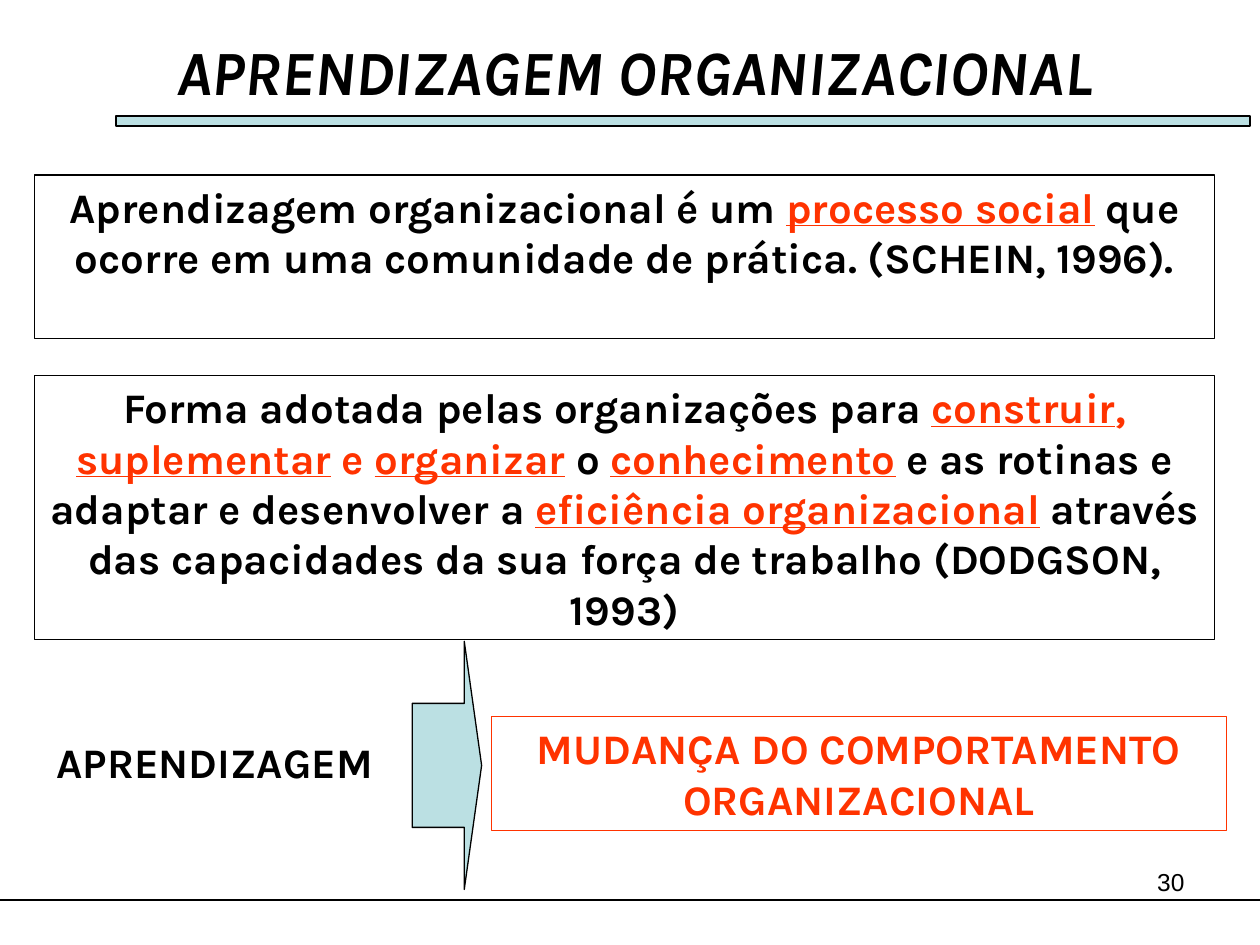
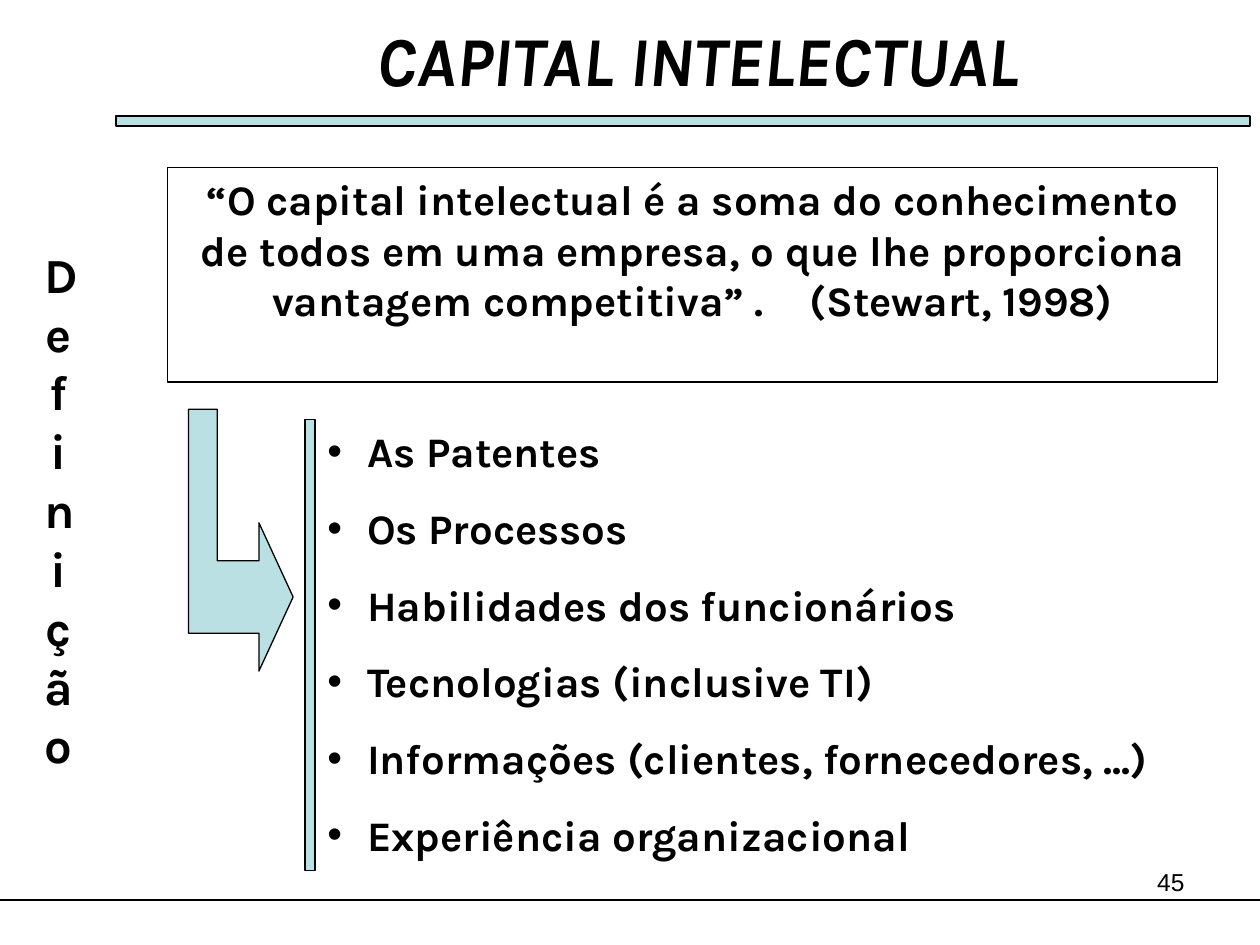
import pptx
import pptx.dml.color
import pptx.enum.shapes
import pptx.enum.text
import pptx.util
from lxml import etree
from pptx.oxml.ns import qn

Cm = pptx.util.Cm
Pt = pptx.util.Pt
ALIGN = pptx.enum.text.PP_ALIGN
SHAPE = pptx.enum.shapes.MSO_SHAPE

BLACK = pptx.dml.color.RGBColor(0x00, 0x00, 0x00)
WHITE = pptx.dml.color.RGBColor(0xFF, 0xFF, 0xFF)
ORANGE = pptx.dml.color.RGBColor(0xFF, 0x33, 0x00)
AQUA = pptx.dml.color.RGBColor(0xBB, 0xE0, 0xE3)
HEADING_FONT = "Karla"
NUMBER_FONT = "Arial"
BODY_SIZE = 24
SLIDE_WIDTH, SLIDE_HEIGHT = 25.4, 19.05

# Run styles: colour and underline
PLAIN = (BLACK, False)
ACCENT = (ORANGE, False)
KEY = (ORANGE, True)


def cm_box(box):
    return [Cm(length) for length in box]


def paint(shape, fill=None, line=BLACK):
    shape.shadow.inherit = False
    if fill is None:
        shape.fill.background()
    else:
        shape.fill.solid()
        shape.fill.fore_color.rgb = fill
    if line is None:
        shape.line.fill.background()
    else:
        shape.line.color.rgb = line
        shape.line.width = Pt(0.75)


def add_block(slide, kind, box, fill=None, line=BLACK):
    block = slide.shapes.add_shape(kind, *cm_box(box))
    paint(block, fill, line)
    return block


def set_font(font, size=BODY_SIZE, color=BLACK, name=HEADING_FONT, bold=True):
    font.size = Pt(size)
    font.name = name
    font.bold = bold
    font.color.rgb = color


def prepare_frame(shape, align):
    """Top-anchored, wrapping frame of fixed size; returns its first paragraph."""
    frame = shape.text_frame
    frame.word_wrap = True
    frame.auto_size = pptx.enum.text.MSO_AUTO_SIZE.NONE
    frame.vertical_anchor = pptx.enum.text.MSO_ANCHOR.TOP
    paragraph = frame.paragraphs[0]
    paragraph.alignment = align
    return paragraph


def write(shape, text, align=ALIGN.CENTER, **font):
    paragraph = prepare_frame(shape, align)
    paragraph.text = text
    set_font(paragraph.runs[0].font, **font)


def add_statement(slide, box, pieces):
    """Framed, centred statement made of (text, style) pieces."""
    statement = add_block(slide, SHAPE.RECTANGLE, box)
    paragraph = prepare_frame(statement, ALIGN.CENTER)
    for text, (color, underline) in pieces:
        run = paragraph.add_run()
        run.text = text
        set_font(run.font, color=color)
        run.font.underline = underline
    return paragraph


def add_framed_slide(deck, title, title_box, title_size, number):
    """Slide with title, band, bottom rule and page number."""
    slide = deck.slides.add_slide(deck.slide_layouts[5])
    add_block(slide, SHAPE.RECTANGLE, (2.34, 2.34, 22.86, 0.2), AQUA)

    rule_y = Cm(18.14)
    rule = slide.shapes.add_connector(
        pptx.enum.shapes.MSO_CONNECTOR.STRAIGHT, 0, rule_y, Cm(SLIDE_WIDTH), rule_y)
    rule.line.color.rgb = BLACK
    rule.line.width = Pt(0.75)
    etree.SubElement(rule._element.spPr, qn("a:effectLst"))

    heading = slide.shapes.title
    heading.left, heading.top, heading.width, heading.height = cm_box(title_box)
    write(heading, title, size=title_size)
    heading.text_frame.paragraphs[0].runs[0].font.italic = True

    page = slide.shapes.add_textbox(*cm_box((18.21, 17.35, 5.92, 1.32)))
    write(page, str(number), ALIGN.RIGHT, size=14, name=NUMBER_FONT, bold=False)
    return slide


def add_learning_outcome(slide, box):
    """Learning on the left, an arrow, and the resulting change on the right."""
    left, top, width, height = box
    learning = slide.shapes.add_textbox(*cm_box((left, top + 1.8, 8.2, 1.27)))
    write(learning, "APRENDIZAGEM", ALIGN.LEFT)

    change_left = left + 9.02
    change = add_block(slide, SHAPE.RECTANGLE,
                       (change_left, top + 1.52, left + width - change_left, 2.29),
                       line=ORANGE)
    write(change, "MUDANÇA DO COMPORTAMENTO ORGANIZACIONAL", color=ORANGE)

    arrow = add_block(slide, SHAPE.RIGHT_ARROW, (left + 7.42, top, 1.4, height), AQUA)
    arrow.adjustments[0] = 0.5
    arrow.adjustments[1] = 0.25


def add_elbow_arrow(slide, box):
    """Arrow that goes down and then turns right, filling the box."""
    left, top, width, height = box
    stem, neck = 0.58, 1.42
    head_top = 2.29
    tip = (head_top + height) / 2
    half_shaft = 0.73
    outline = [(0, 0), (stem, 0), (stem, tip - half_shaft), (neck, tip - half_shaft),
               (neck, head_top), (width, tip), (neck, height),
               (neck, tip + half_shaft), (0, tip + half_shaft)]
    corners = [(Cm(left + x), Cm(top + y)) for x, y in outline]
    builder = slide.shapes.build_freeform(*corners[0])
    builder.add_line_segments(corners[1:], close=True)
    paint(builder.convert_to_shape(), AQUA)


def add_bullet(paragraph, indent=0.8):
    properties = paragraph._p.get_or_add_pPr()
    properties.set("marL", str(Cm(indent)))
    properties.set("indent", str(-Cm(indent)))
    color = etree.SubElement(properties, qn("a:buClr"))
    etree.SubElement(color, qn("a:srgbClr"), val=str(BLACK))
    etree.SubElement(properties, qn("a:buFont"), typeface=NUMBER_FONT)
    etree.SubElement(properties, qn("a:buChar"), char="•")


def add_asset_list(slide, box, assets):
    """Bulleted list with a bar along its left side."""
    left, top, width, height = box
    bar_width = 0.2
    items = slide.shapes.add_textbox(
        *cm_box((left + bar_width, top, width - bar_width, height)))
    prepare_frame(items, ALIGN.LEFT)
    items.text_frame.text = "\n".join(assets)
    for index, paragraph in enumerate(items.text_frame.paragraphs):
        if index:
            paragraph.space_before = Pt(15)
        add_bullet(paragraph)
        set_font(paragraph.runs[0].font)
    add_block(slide, SHAPE.RECTANGLE, (left, top, bar_width, height), AQUA)


def build_learning_slide(deck):
    slide = add_framed_slide(deck, "APRENDIZAGEM ORGANIZACIONAL",
                             (1.09, 0.53, 23.39, 1.78), 36, 30)
    add_statement(slide, (0.69, 3.53, 23.8, 3.3), [
        ("Aprendizagem organizacional é um ", PLAIN),
        ("processo social", KEY),
        (" que ocorre em uma comunidade de prática. (SCHEIN, 1996).", PLAIN),
    ])
    add_statement(slide, (0.69, 7.57, 23.8, 5.33), [
        ("Forma adotada pelas organizações para ", PLAIN),
        ("construir", KEY),
        (", ", ACCENT),
        ("suplementar", KEY),
        (" e ", ACCENT),
        ("organizar", KEY),
        (" o ", PLAIN),
        ("conhecimento", KEY),
        (" e as rotinas e adaptar e desenvolver a ", PLAIN),
        ("eficiência organizacional", KEY),
        (" através das capacidades da sua força de trabalho (DODGSON, 1993)", PLAIN),
    ])
    add_learning_outcome(slide, (0.89, 12.93, 23.83, 5))


def build_capital_slide(deck):
    slide = add_framed_slide(deck, "CAPITAL INTELECTUAL",
                             (4.01, 0.2, 20.12, 1.96), 40, 45)
    quote = add_statement(slide, (3.38, 3.38, 21.16, 4.32), [
        ("“O capital intelectual é a soma do conhecimento de todos em uma empresa, "
         "o que lhe proporciona vantagem competitiva” .", PLAIN),
        (" ", PLAIN),
        ("(Stewart, 1998)", PLAIN),
    ])
    # Widen the gap before the citation by 20 pt
    quote.runs[1]._r.get_or_add_rPr().set("spc", "2000")

    add_asset_list(slide, (6.15, 8.46, 19.05, 9.09), [
        "As Patentes",
        "Os Processos",
        "Habilidades dos funcionários",
        "Tecnologias (inclusive TI)",
        "Informações (clientes, fornecedores, ...)",
        "Experiência organizacional",
    ])
    add_elbow_arrow(slide, (3.8, 8.25, 2.11, 5.28))
    definition = add_block(slide, SHAPE.RECTANGLE, (0.64, 4.8, 1.07, 10.95), WHITE, None)
    write(definition, "Definição", size=28)


def main():
    deck = pptx.Presentation()
    deck.slide_width, deck.slide_height = Cm(SLIDE_WIDTH), Cm(SLIDE_HEIGHT)
    build_learning_slide(deck)
    build_capital_slide(deck)
    deck.save("out.pptx")


if __name__ == "__main__":
    main()
